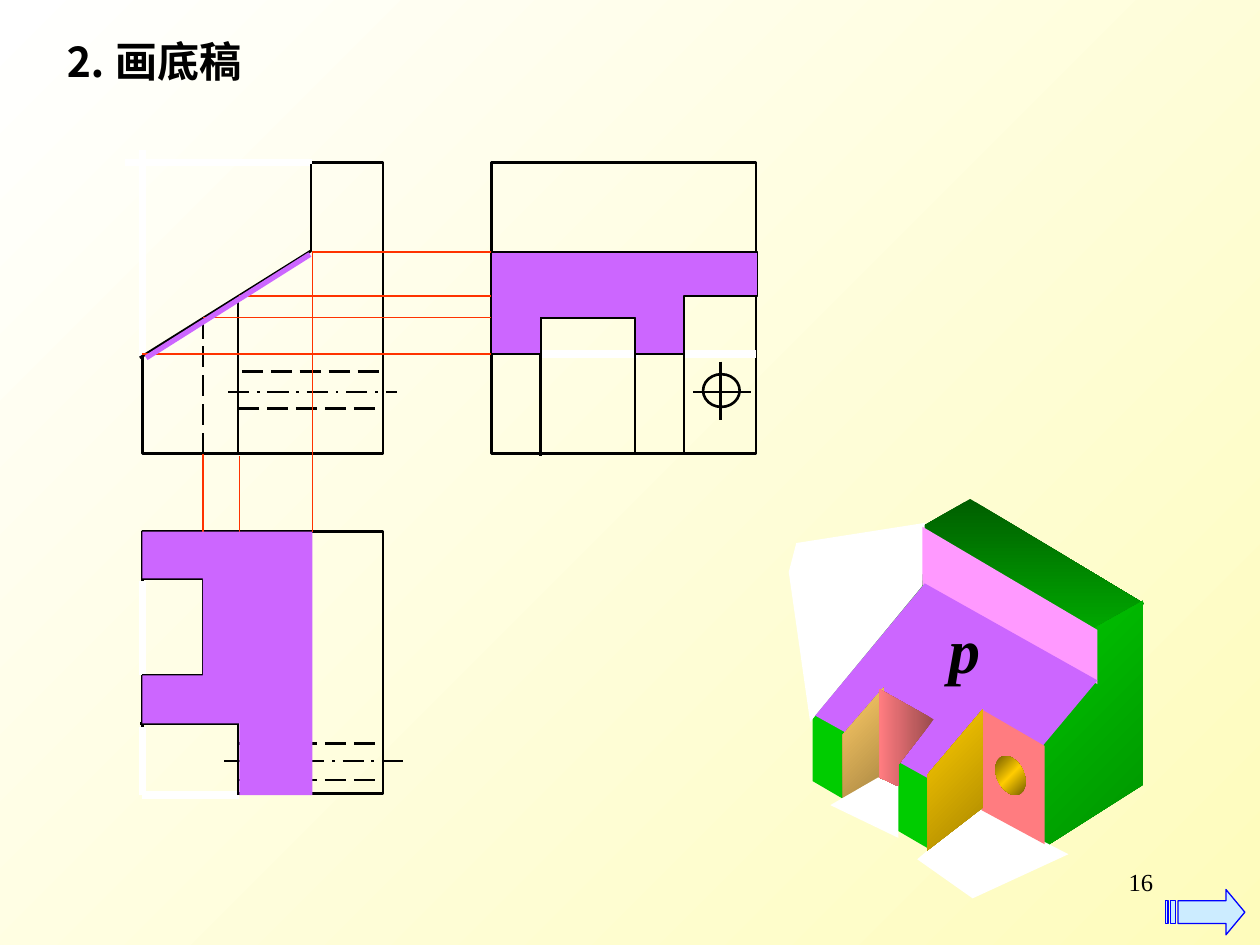
import copy
import math

from pptx import Presentation
from pptx import util as u
from pptx.dml.color import RGBColor
from pptx.enum import dml, shapes, text
from pptx.oxml import ns, xmlchemy

BLACK = RGBColor(0x00, 0x00, 0x00)
WHITE = RGBColor(0xFF, 0xFF, 0xFF)
RED = RGBColor(0xFF, 0x33, 0x00)
PURPLE = RGBColor(0xCC, 0x66, 0xFF)
PINK = RGBColor(0xFF, 0x99, 0xFF)
CREAM = RGBColor(0xFE, 0xFC, 0xBC)
GREEN = RGBColor(0x00, 0xCC, 0x00)
MID_GREEN = RGBColor(0x00, 0x8F, 0x00)
DARK_GREEN = RGBColor(0x00, 0x5E, 0x00)
SALMON = RGBColor(0xFF, 0x7C, 0x80)
DARK_SALMON = RGBColor(0x9A, 0x4B, 0x4D)
GOLD = RGBColor(0xFF, 0xCC, 0x00)
DARK_GOLD = RGBColor(0xA9, 0x87, 0x00)
BROWN = RGBColor(0x75, 0x5E, 0x00)
SAND = RGBColor(0xFF, 0xCC, 0x66)
DARK_SAND = RGBColor(0xA9, 0x87, 0x43)
SKY = RGBColor(0xCC, 0xEC, 0xFF)
BLUE = RGBColor(0x00, 0x00, 0xFF)
FONT = "Times New Roman"
DASH = dml.MSO_LINE.LONG_DASH
CENTRE = dml.MSO_LINE.LONG_DASH_DOT

deck = Presentation()
deck.slide_width, deck.slide_height = u.Inches(10), u.Inches(7.5)
page = deck.slides.add_slide(deck.slide_layouts[5])
backdrop = page.background.fill
backdrop.gradient()
backdrop.gradient_angle = 135
for stop, color in zip(backdrop.gradient_stops, (CREAM, WHITE)):
    stop.color.rgb = color


def draw_line(x1, y1, x2, y2, color, width, dash=None):
    line = page.shapes.add_connector(
        shapes.MSO_CONNECTOR.STRAIGHT, *map(u.Inches, (x1, y1, x2, y2)))
    line.line.color.rgb = color
    line.line.width = u.Pt(width)
    if dash:
        line.line.dash_style = dash
    line._element.spPr.append(xmlchemy.OxmlElement("a:effectLst"))


def draw_outline(contours, colors, angle=0, edge=None):
    builder = None
    for contour in contours:
        points = [(u.Inches(x), u.Inches(y)) for x, y in contour]
        if builder is None:
            builder = page.shapes.build_freeform(*points[0])
        else:
            builder.move_to(*points[0])
        builder.add_line_segments(points[1:], close=True)
    face = builder.convert_to_shape()
    face.shadow.inherit = False
    if len(colors) == 1:
        face.fill.solid()
        face.fill.fore_color.rgb = colors[0]
    else:
        face.fill.gradient()
        face.fill.gradient_angle = angle
        stop_list = face._element.find(".//" + ns.qn("a:gsLst"))
        for _ in colors[2:]:
            stop_list.append(copy.deepcopy(stop_list[-1]))
        for i, stop in enumerate(face.fill.gradient_stops):
            stop.position = i / (len(colors) - 1)
            stop.color.rgb = colors[i]
    if edge is None:
        face.line.fill.background()
    else:
        face.line.color.rgb = edge
        face.line.width = u.Pt(0.75)


title = page.shapes.title
views = [
    (shapes.MSO_SHAPE.RECTANGLE, 3.9, 1.29, 2.1, 2.31),
    (shapes.MSO_SHAPE.RECTANGLE, 1.13, 1.29, 1.91, 2.31),
    (shapes.MSO_SHAPE.RECTANGLE, 1.13, 4.22, 1.91, 2.08),
    (shapes.MSO_SHAPE.OVAL, 5.58, 2.97, 0.29, 0.26),
]
for kind, *place in views:
    view = page.shapes.add_shape(kind, *map(u.Inches, place))
    view.shadow.inherit = False
    view.fill.background()
    view.line.color.rgb = BLACK
    view.line.width = u.Pt(1.5)

hidden_edges = [
    (1.78, 6.04, 3.2, 6.04, CENTRE), (1.81, 3.11, 3.15, 3.11, CENTRE),
    (1.89, 5.9, 3.04, 5.9, DASH), (1.89, 6.19, 3.04, 6.19, DASH),
    (1.61, 2.52, 1.61, 3.62, DASH),
    (1.92, 2.95, 3.04, 2.95, DASH), (1.89, 3.24, 3.04, 3.24, DASH),
]
for *ends, dash in hidden_edges:
    draw_line(*ends, BLACK, 1.5, dash)

line_layers = [
    (BLACK, 1.5, [
        (5.72, 2.87, 5.72, 3.33), (5.5, 3.11, 5.96, 3.11),
        (1.89, 5.74, 1.11, 5.74), (1.61, 5.36, 1.61, 4.59),
        (2.47, 6.31, 2.47, 4.22), (3.9, 2, 5.98, 2),
        (4.29, 2.52, 5.05, 2.52), (5.43, 2.34, 6.01, 2.34),
        (1.89, 2.36, 1.89, 3.6), (3.92, 2.81, 6.01, 2.81)]),
    (WHITE, 4.25, [
        (1.13, 1.19, 1.13, 2.83), (0.99, 1.29, 2.48, 1.29),
        (1.13, 5.36, 1.13, 4.61), (4.29, 2.81, 5.06, 2.81),
        (1.13, 5.77, 1.13, 6.31), (1.13, 6.31, 1.9, 6.31),
        (5.43, 2.81, 6, 2.81)]),
    (BLACK, 1.5, [
        (2.47, 1.3, 2.47, 1.99), (2.47, 1.99, 1.11, 2.84),
        (1.13, 5.36, 1.61, 5.36), (1.61, 4.59, 1.13, 4.59),
        (4.29, 2.52, 4.29, 3.62), (5.43, 2.34, 5.43, 3.61),
        (5.04, 2.52, 5.04, 3.6), (1.89, 6.31, 1.89, 5.74)]),
    (RED, 1, [
        (2.48, 2, 3.96, 2), (1.13, 2.81, 3.9, 2.81),
        (2.48, 2, 2.48, 4.22), (1.61, 4.59, 1.61, 3.6),
        (1.61, 2.52, 4.29, 2.52), (1.9, 5.74, 1.9, 3.62),
        (1.9, 2.35, 5.43, 2.35)]),
    (PURPLE, 3, [(1.16, 2.84, 2.46, 2.02)]),
]
for color, width, lines in line_layers:
    for ends in lines:
        draw_line(*ends, color, width)

top_view_face = [
    (1.13, 4.22), (2.48, 4.22), (2.48, 6.31), (1.9, 6.31), (1.9, 5.74),
    (1.13, 5.74), (1.13, 5.36), (1.61, 5.36), (1.61, 4.59), (1.13, 4.59)]
side_view_face = [
    (3.9, 2), (6.01, 2), (6.01, 2.35), (5.43, 2.35), (5.43, 2.81),
    (5.04, 2.81), (5.04, 2.52), (4.29, 2.52), (4.29, 2.81), (3.9, 2.81)]
draw_outline([top_view_face], [PURPLE])
draw_outline([side_view_face], [PURPLE], edge=BLACK)

turns = [math.tau * i / 32 for i in range(32)]
hole = [(8.02 + 0.12 * math.cos(t), 6.155 + 0.155 * math.sin(t + 0.33)) for t in turns]
solid_faces = [
    ([DARK_GREEN, GREEN], 270, [(7.7, 3.96), (6.45, 4.68), (7.84, 5.48), (9.08, 4.79)]),
    ([MID_GREEN, GREEN], 135, [(9.07, 4.77), (9.07, 6.23), (7.84, 7.01), (7.84, 5.46)]),
    ([GREEN], 0, [(6.45, 4.67), (6.45, 6.2), (7.84, 7.01), (7.84, 5.48)]),
    ([WHITE], 0, [(7.34, 4.15), (7.32, 4.65), (6.43, 5.73), (6.26, 4.54), (6.32, 4.31)]),
    ([PINK], 0, [(7.32, 4.18), (7.32, 4.64), (8.71, 5.43), (8.71, 5)]),
    ([PURPLE], 0, [(7.34, 4.63), (8.71, 5.4), (7.84, 6.44), (6.47, 5.68)]),
    ([WHITE], 0, [(7.76, 6.41), (8.48, 6.78), (7.72, 7.13), (7.28, 6.82)]),
    ([SALMON], 0, [(7.79, 5.63), (8.29, 5.92), (8.29, 6.7), (7.79, 6.43)]),
    ([DARK_GOLD, GOLD], 135, [(7.36, 6.15), (7.36, 6.75), (7.8, 6.41), (7.8, 5.63)]),
    ([BROWN, GOLD, BROWN], 135, hole),
    ([DARK_SAND, SAND], 135, [(6.69, 5.83), (7.01, 5.46), (7.01, 6.17), (6.69, 6.35)]),
    ([WHITE], 0, [(6.97, 6.17), (6.59, 6.39), (7.13, 6.65), (7.13, 6.24)]),
    ([DARK_SALMON, SALMON], 180,
     [(6.98, 5.47), (7.41, 5.71), (7.13, 6.07), (7.13, 6.24), (6.98, 6.17)]),
]
for colors, angle, corners in solid_faces:
    draw_outline([corners], colors, angle)

arrow_head = [(9.35, 7.15), (9.73, 7.15), (9.73, 7.06), (9.88, 7.24),
              (9.73, 7.42), (9.73, 7.33), (9.35, 7.33)]
stripes = [[(left, 7.15), (right, 7.15), (right, 7.33), (left, 7.33)]
           for left, right in ((9.25, 9.27), (9.29, 9.33))]
draw_outline([arrow_head, *stripes], [SKY], edge=BLUE)

face_label = page.shapes.add_textbox(0, 0, 0, 0)
page_number = page.shapes.add_textbox(0, 0, 0, 0)
LEFT, RIGHT = text.PP_ALIGN.LEFT, text.PP_ALIGN.RIGHT
labels = [
    (title, (0.41, 0.23, 1.61, 0.5), "⒉ 画底稿", 24, True, False, LEFT, False),
    (face_label, (7.43, 4.8, 0.45, 0.7), "p", 36, True, True, LEFT, True),
    (page_number, (7.17, 6.83, 2.08, 0.5), "16", 14, False, False, RIGHT, True),
]
for box, place, words, size, bold, italic, align, wrap in labels:
    box.left, box.top, box.width, box.height = map(u.Inches, place)
    frame = box.text_frame
    frame.word_wrap = wrap
    frame.auto_size = text.MSO_AUTO_SIZE.NONE
    frame.vertical_anchor = text.MSO_ANCHOR.TOP
    para = frame.paragraphs[0]
    para.alignment = align
    span = para.add_run()
    span.text = words
    span.font.name = FONT
    span.font.size = u.Pt(size)
    span.font.bold = bold
    span.font.italic = italic
    span.font.color.rgb = BLACK

deck.save("out.pptx")
